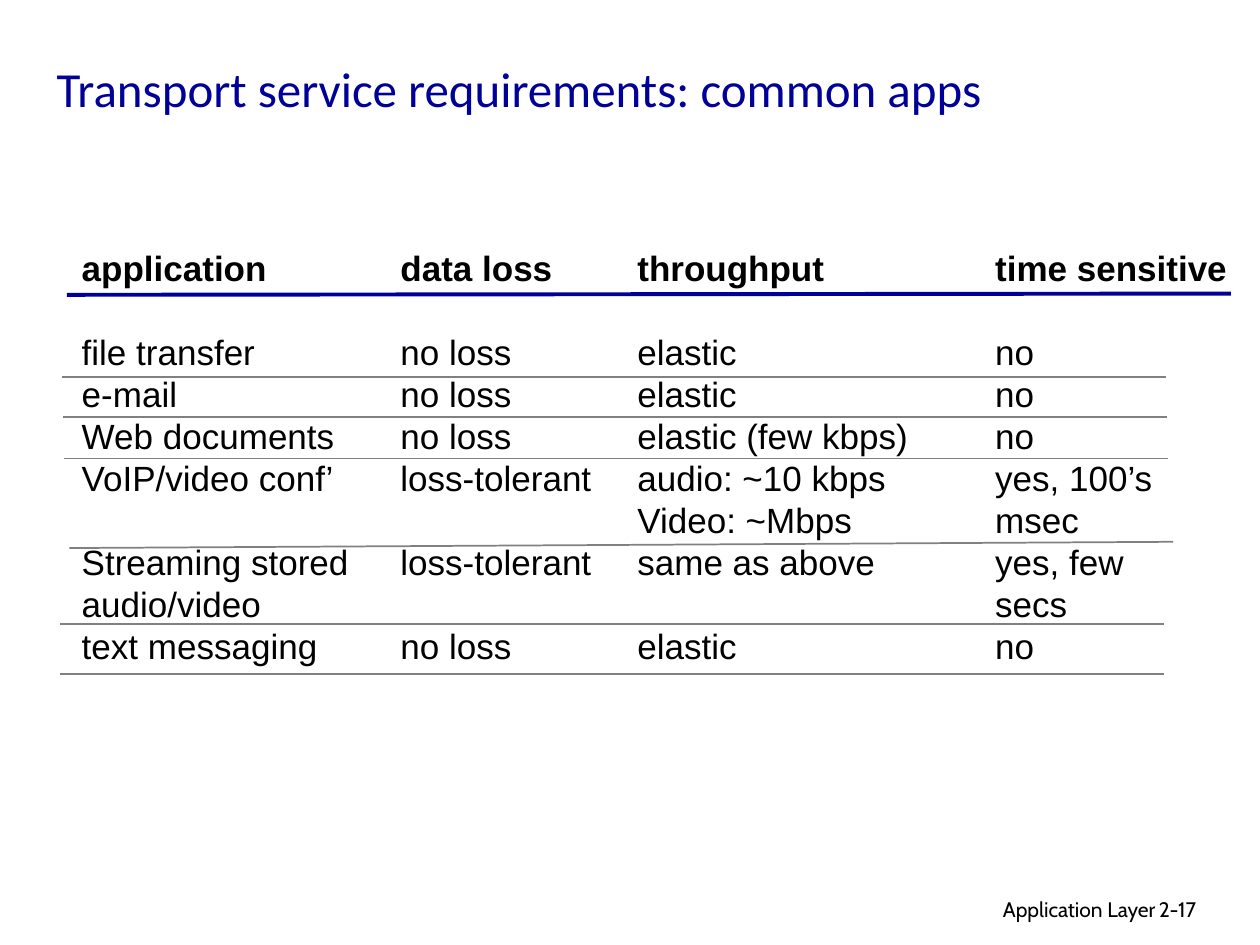
import pptx
import pptx.dml.color
import pptx.enum.shapes
import pptx.enum.text
import pptx.oxml
import pptx.util

Inches = pptx.util.Inches
Pt = pptx.util.Pt
RGBColor = pptx.dml.color.RGBColor
ALIGN = pptx.enum.text.PP_ALIGN

NAVY = RGBColor(0x00, 0x00, 0x99)
GRAY = RGBColor(0x80, 0x80, 0x80)
BLACK = RGBColor(0x00, 0x00, 0x00)

LINE_PITCH = 24
COLUMN_TOP = 1.91
COLUMN_HEIGHT = 3.47
RULE_WIDTH = 8.76

# Left, width, heading, then one entry per text line; None leaves the line open.
COLUMNS = [
    (0.55, 2.35, "application",
     [None, "file transfer", "e-mail", "Web documents", "VoIP/video conf’", None,
      "Streaming stored", "audio/video", "text messaging"]),
    (3.08, 1.73, "data loss",
     [None, "no loss", "no loss", "no loss", "loss-tolerant", None,
      "loss-tolerant", None, "no loss"]),
    (4.96, 2.82, "throughput",
     [None, "elastic", "elastic", "elastic (few kbps)", "audio: ~10 kbps",
      "Video: ~Mbps", "same as above", None, "elastic"]),
    (7.8, 2.26, "time sensitive",
     [None, "no", "no", "no", "yes, 100’s", "msec", "yes, few", "secs", "no"]),
]

# Left, y at the left end, y at the right end.
ROW_RULES = [
    (0.49, 2.99, 2.99),
    (0.5, 3.31, 3.31),
    (0.51, 3.64, 3.64),
    (0.55, 4.35, 4.3),
    (0.48, 4.95, 4.95),
    (0.48, 5.35, 5.35),
]


def write_text(paragraph, text, font="Arial", size=20, color=BLACK, bold=False,
               align=ALIGN.LEFT, line_spacing=None, space_before=0):
    paragraph.alignment = align
    paragraph.space_before = Pt(space_before)
    if line_spacing:
        paragraph.line_spacing = Pt(line_spacing)
    run = paragraph.add_run()
    run.text = text
    run.font.name = font
    run.font.size = Pt(size)
    run.font.bold = bold
    run.font.color.rgb = color


def add_text_frame(slide, left, top, width, height):
    box = slide.shapes.add_textbox(
        Inches(left), Inches(top), Inches(width), Inches(height))
    box.text_frame.word_wrap = True
    return box.text_frame


def add_rule(slide, start, end, color, weight):
    rule = slide.shapes.add_connector(
        pptx.enum.shapes.MSO_CONNECTOR.STRAIGHT,
        *(Inches(value) for value in (*start, *end)))
    rule.line.color.rgb = color
    rule.line.width = Pt(weight)
    properties = rule.element.spPr
    properties.append(pptx.oxml.parse_xml(
        '<a:effectLst xmlns:a="http://schemas.openxmlformats.org/drawingml/2006/main"/>'))


def add_title(slide, left, top, width, height):
    title = slide.shapes.title
    title.left, title.top = Inches(left), Inches(top)
    title.width, title.height = Inches(width), Inches(height)
    frame = title.text_frame
    frame.vertical_anchor = pptx.enum.text.MSO_ANCHOR.MIDDLE
    write_text(frame.paragraphs[0], "Transport service requirements: common apps",
               font="Calibri", size=28, color=NAVY)


def add_column(slide, left, top, width, height, heading, entries):
    """Stack a heading and its entries, turning open lines into paragraph spacing."""
    frame = add_text_frame(slide, left, top, width, height)
    write_text(frame.paragraphs[0], heading, bold=True, line_spacing=LINE_PITCH)
    open_lines = 0
    for entry in entries:
        if entry is None:
            open_lines += 1
            continue
        write_text(frame.add_paragraph(), entry, line_spacing=LINE_PITCH,
                   space_before=open_lines * LINE_PITCH)
        open_lines = 0


def add_requirements(slide, top, height):
    for left, width, heading, entries in COLUMNS:
        add_column(slide, left, top, width, height, heading, entries)
    add_rule(slide, (0.53, 2.34), (9.77, 2.33), NAVY, 2.25)
    for left, start_y, end_y in ROW_RULES:
        add_rule(slide, (left, start_y), (left + RULE_WIDTH, end_y), GRAY, 1)


def add_footer(slide, top, height):
    parts = [
        ("Application Layer", 6.1, 3.17, ALIGN.RIGHT),
        ("2-17", 9.1, 0.74, ALIGN.LEFT),
    ]
    for text, left, width, align in parts:
        frame = add_text_frame(slide, left, top, width, height)
        write_text(frame.paragraphs[0], text, font="Cabin", size=12, align=align)


def main():
    presentation = pptx.Presentation()
    presentation.slide_width = Inches(10)
    presentation.slide_height = Inches(7.5)
    slide = presentation.slides.add_slide(presentation.slide_layouts[5])
    add_footer(slide, 7.07, 0.3)
    add_title(slide, 0.35, 0.25, 8.97, 0.89)
    add_requirements(slide, COLUMN_TOP, COLUMN_HEIGHT)
    presentation.save("out.pptx")


if __name__ == "__main__":
    main()
